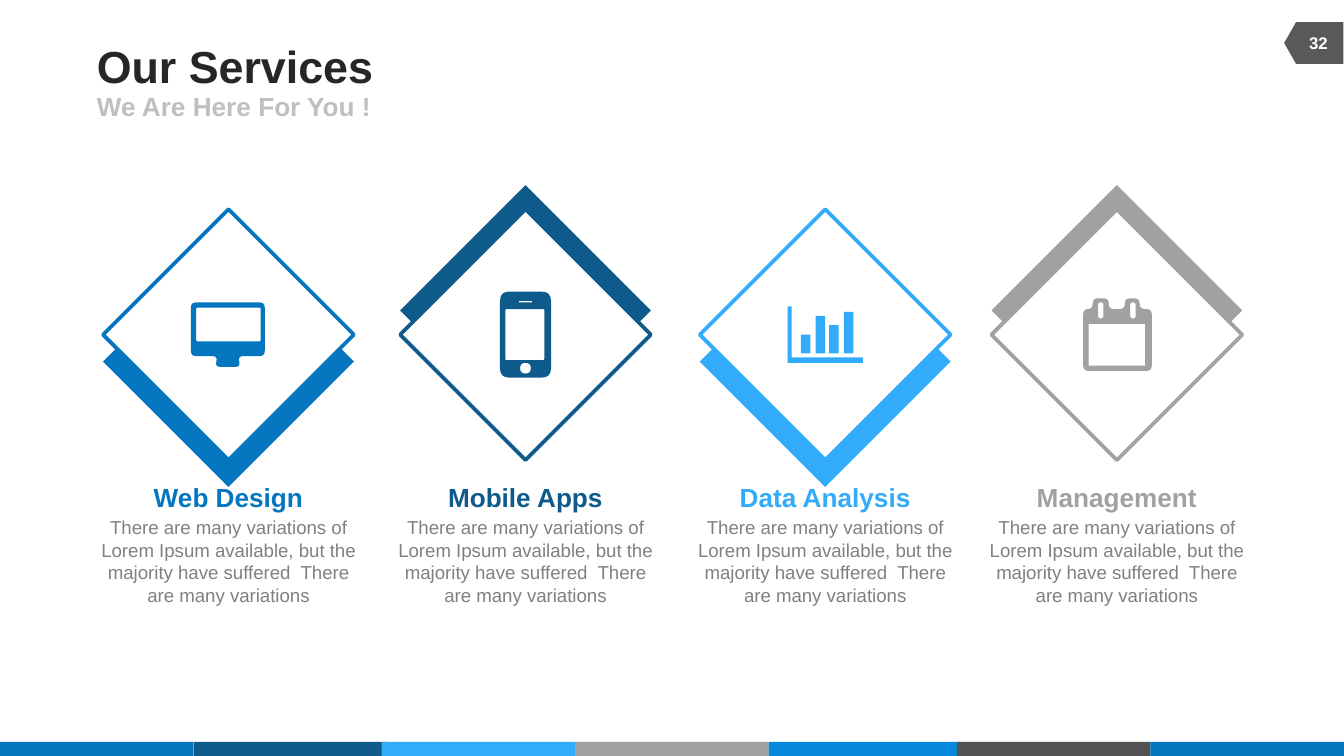
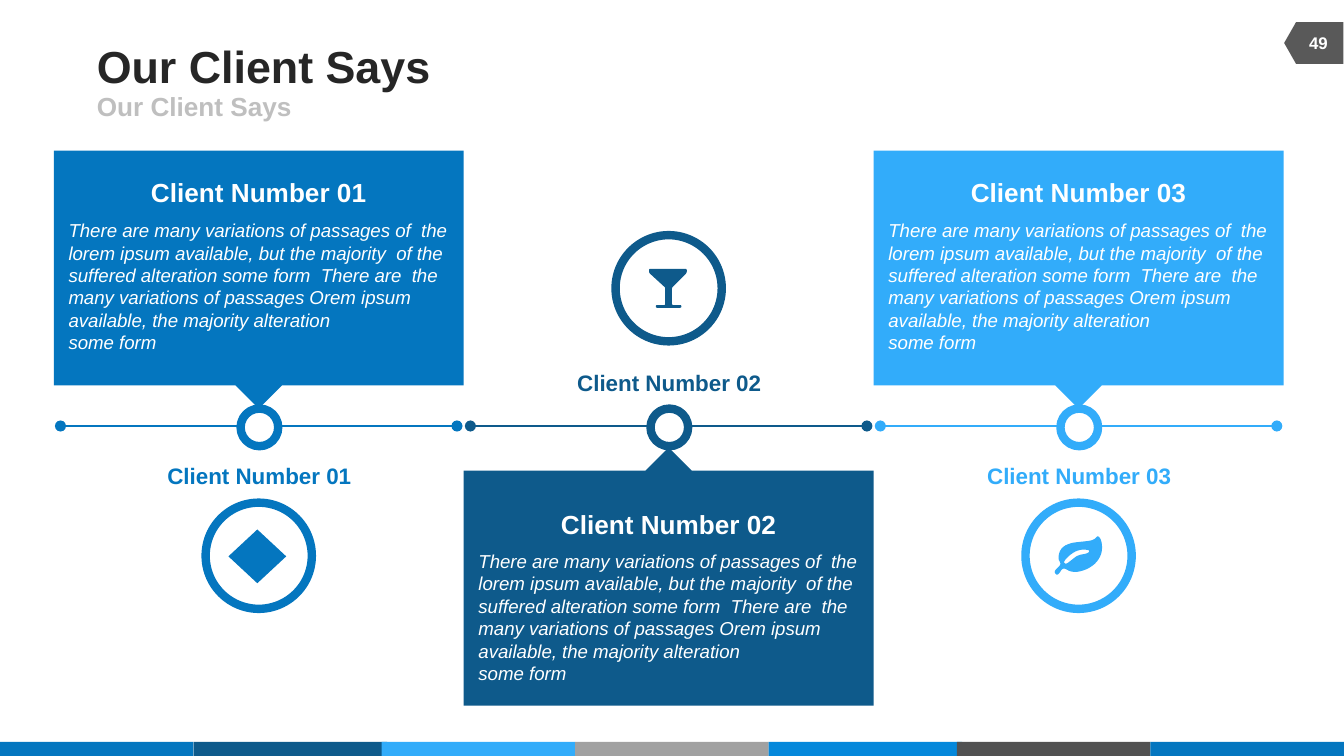
from copy import deepcopy
from math import dist

from lxml import etree
from pptx import Presentation
from pptx.dml.color import RGBColor
from pptx.enum.shapes import MSO_CONNECTOR, MSO_SHAPE
from pptx.enum.text import MSO_ANCHOR, MSO_AUTO_SIZE, PP_ALIGN
from pptx.oxml.ns import qn
from pptx.util import Emu, Pt

RECT = MSO_SHAPE.RECTANGLE
OVAL = MSO_SHAPE.OVAL
DIAMOND = MSO_SHAPE.DIAMOND
CALLOUT = MSO_SHAPE.DOWN_ARROW_CALLOUT
TAG = MSO_SHAPE.FLOWCHART_OFFPAGE_CONNECTOR
LEFT, CENTER = PP_ALIGN.LEFT, PP_ALIGN.CENTER
TOP, MIDDLE = MSO_ANCHOR.TOP, MSO_ANCHOR.MIDDLE

PX = 9144  # the slide is 1000 px wide
FONT = "Arial"

BLUE = RGBColor(0x04, 0x76, 0xBF)
NAVY = RGBColor(0x0E, 0x5A, 0x8B)
SKY = RGBColor(0x32, 0xAC, 0xFA)
GRAY = RGBColor(0xA1, 0xA1, 0xA1)
AZURE = RGBColor(0x05, 0x88, 0xDB)
CHARCOAL = RGBColor(0x52, 0x52, 0x52)
TAG_GRAY = RGBColor(0x59, 0x59, 0x59)
TITLE_INK = RGBColor(0x26, 0x26, 0x26)
SUBTITLE_INK = RGBColor(0xBF, 0xBF, 0xBF)
BODY_INK = RGBColor(0x80, 0x80, 0x80)
WHITE = RGBColor(0xFF, 0xFF, 0xFF)

BANDS = [(0, BLUE), (144, NAVY), (284, SKY), (428, GRAY),
         (572, AZURE), (712, CHARCOAL), (856, BLUE)]

SERVICE_TEXT = ("There are many variations of Lorem Ipsum available, but the "
                "majority have suffered  There are many variations")
CLIENT_TEXT = ("There are many variations of passages of  the lorem ipsum "
               "available, but the majority  of the suffered alteration some "
               "form  There are  the many variations of passages Orem ipsum "
               "available, the majority alteration \nsome form")


def px(*values):
    return [Emu(round(v * PX)) for v in values]


# Text

def write(tf, text, size=10, color=WHITE, bold=False, italic=False,
          align=LEFT, before=0):
    """Fill the first empty paragraph or add one."""
    p = tf.paragraphs[-1]
    if p.runs:
        p = tf.add_paragraph()
    p.text = text
    p.alignment = align
    p.space_before = Pt(before)
    for r in p.runs:
        r.font.name = FONT
        r.font.size = Pt(size)
        r.font.bold = bold
        r.font.italic = italic
        r.font.color.rgb = color
    for br in p._p.findall(qn("a:br")):
        br.append(deepcopy(p.runs[0]._r.rPr))
    return p


def frame(s, margins=(0, 0, 0, 0), wrap=False, anchor=TOP):
    tf = s.text_frame
    tf.auto_size = MSO_AUTO_SIZE.NONE
    tf.word_wrap = wrap
    tf.vertical_anchor = anchor
    tf.margin_left, tf.margin_top, tf.margin_right, tf.margin_bottom = px(*margins)
    return tf


def text_box(slide, box, **layout):
    return frame(slide.shapes.add_textbox(*px(*box)), **layout)


def fill_placeholder(s, box, text, **fmt):
    s.left, s.top, s.width, s.height = px(*box)
    p = write(frame(s, anchor=MIDDLE), text, bold=True, **fmt)
    pPr = p._p.get_or_add_pPr()
    pPr.set("marL", "0")
    pPr.set("indent", "0")
    etree.SubElement(pPr, qn("a:buNone"))


# Shapes

def shape(slide, kind, box, fill=None, line=None, weight=0, turn=0):
    s = slide.shapes.add_shape(kind, *px(*box))
    s.shadow.inherit = False
    s.rotation = turn
    if fill is None:
        s.fill.background()
    else:
        s.fill.solid()
        s.fill.fore_color.rgb = fill
    if line is None:
        s.line.fill.background()
    else:
        s.line.color.rgb = line
        s.line.width = Pt(weight)
    return s


def dotted_end_line(slide, x1, x2, y, color):
    s = slide.shapes.add_connector(MSO_CONNECTOR.STRAIGHT, *px(x1, y, x2, y))
    s.line.color.rgb = color
    s.line.width = Pt(1.5)
    ln = s.line._get_or_add_ln()
    for end in ("a:headEnd", "a:tailEnd"):
        etree.SubElement(ln, qn(end), type="oval")
    etree.SubElement(s._element.spPr, qn("a:effectLst"))


# Icon outlines

def rounded(points, radius):
    """Soften each corner of a closed outline with a short quadratic curve."""
    result = []
    for i, p in enumerate(points):
        ends = []
        for q in (points[i - 1], points[(i + 1) % len(points)]):
            cut = min(radius / dist(p, q), 0.5)
            ends.append([a + (b - a) * cut for a, b in zip(p, q)])
        for t in (0, 0.25, 0.5, 0.75, 1):
            result.append([(1 - t) ** 2 * a + 2 * t * (1 - t) * b + t * t * c
                           for a, b, c in zip(ends[0], p, ends[1])])
    return result


def box_outline(x1, y1, x2, y2, radius=0):
    corners = [(x1, y1), (x2, y1), (x2, y2), (x1, y2)]
    return rounded(corners, radius) if radius else corners


def icon(slide, outlines, color):
    first, *others = [[px(*p) for p in outline] for outline in outlines]
    builder = slide.shapes.build_freeform(*first[0])
    builder.add_line_segments(first[1:])
    for outline in others:
        builder.move_to(*outline[0])
        builder.add_line_segments(outline[1:])
    s = builder.convert_to_shape()
    s.shadow.inherit = False
    s.fill.solid()
    s.fill.fore_color.rgb = color
    s.line.fill.background()


MONITOR = [
    rounded([(142, 225), (197, 225), (197, 265), (177, 265), (179, 273),
             (160, 273), (162, 265), (142, 265)], 4),
    box_outline(146, 229, 194, 254, 1),
]
PHONE = [
    box_outline(372, 217, 410, 281, 7),
    box_outline(376, 230, 405, 268, 1),
    box_outline(386, 224, 396, 225),
    box_outline(387, 270, 395, 278, 4),
]
BAR_CHART = [
    [(586, 228), (589, 228), (589, 266), (642, 266), (642, 270), (586, 270)],
    *[box_outline(x, y, x + 7, 263)
      for x, y in ((596, 249), (607, 235), (617, 242), (628, 232))],
]
CALENDAR = [
    rounded([(806, 230), (813, 230), (813, 222), (825, 222), (825, 230),
             (837, 230), (837, 222), (848, 222), (848, 230), (857, 230),
             (857, 276), (806, 276)], 4),
    box_outline(810, 241, 852, 272),
    box_outline(817, 225, 821, 237, 2),
    box_outline(841, 225, 845, 237, 2),
]
GLASS = [
    rounded([(483, 200), (511, 200), (511, 203), (500, 214), (500, 227),
             (507, 227), (507, 229), (488, 229), (488, 227), (495, 227),
             (495, 214), (483, 203)], 1),
]
LEAF = [
    rounded([(817, 398), (820, 403), (820, 412), (815, 420), (806, 425),
             (797, 426), (791, 422), (788, 427), (786, 428), (784, 425),
             (790, 420), (787, 416), (789, 408), (796, 404), (806, 403),
             (814, 402)], 99),
    rounded([(809, 409), (811, 410), (809, 412), (802, 413), (797, 417),
             (793, 420), (791, 418), (797, 412), (803, 409)], 99),
]

# Centre, colour, whether the thick edge is on top, name, icon
SERVICES = [
    (170, BLUE, False, "Web Design", MONITOR),
    (391, NAVY, True, "Mobile Apps", PHONE),
    (614, SKY, False, "Data Analysis", BAR_CHART),
    (831, GRAY, True, "Management", CALENDAR),
]
CLIENTS = [
    ("Client Number 01", BLUE, None),
    ("Client Number 02", NAVY, GLASS),
    ("Client Number 03", SKY, LEAF),
]


# Slide parts

def base_slide(prs, title, subtitle, number):
    slide = prs.slides.add_slide(prs.slide_layouts[1])
    for x, color in BANDS:
        shape(slide, RECT, (x, 552, 144, 11), color)
    shape(slide, TAG, (962, 10, 31, 44), TAG_GRAY, turn=90)
    fill_placeholder(slide.shapes.title, (72, 29, 617, 39), title,
                     size=24, color=TITLE_INK)
    fill_placeholder(slide.placeholders[1], (72, 68, 450, 22), subtitle,
                     size=14, color=SUBTITLE_INK)
    tf = text_box(slide, (960, 17, 42, 30), margins=(10, 5, 10, 5),
                  wrap=True, anchor=MIDDLE)
    write(tf, number, size=9, bold=True, align=CENTER)
    return slide


def service(slide, center, color, edge_on_top, name, outlines):
    side = 132
    x = center - side // 2
    shape(slide, RECT, (x, 165 if edge_on_top else 203, side, side), color, turn=315)
    shape(slide, RECT, (x, 183, side, side), WHITE, color, 2, turn=315)
    icon(slide, outlines, color)
    tf = text_box(slide, (center - 108, 353, 216, 104),
                  margins=(10, 5, 10, 5), wrap=True)
    write(tf, name, size=14, color=color, bold=True, align=CENTER)
    write(tf, SERVICE_TEXT, color=BODY_INK, align=CENTER, before=2)


def client(slide, x, below, name, color, outlines):
    """Draw one client; below puts the callout under the time line."""
    label_y, callout_y, head_y, body_y, ring_y = (
        (275, 333, 378, 409, 175) if below else (344, 112, 131, 163, 374))
    dotted_end_line(slide, x + 300, x + 5, 317, color)
    write(text_box(slide, (x + 84, label_y, 138, 20)), name,
          size=12, color=color, bold=True, align=CENTER)

    # Callout with heading and quote
    s = shape(slide, CALLOUT, (x, callout_y, 305, 192), color)
    for i, value in enumerate((0.26, 0.09, 0.09, 0.91)):
        s.adjustments[i] = value
    if below:
        s._element.spPr.find(qn("a:xfrm")).set("flipV", "1")
    tf = text_box(slide, (x + 11, body_y, 292, 106),
                  margins=(0, 0, 10, 5), wrap=True)
    write(tf, CLIENT_TEXT, italic=True)
    write(text_box(slide, (x + 72, head_y, 161, 24)), name,
          size=14, bold=True, align=CENTER)

    # Marker and ringed icon
    shape(slide, OVAL, (x + 139, 304, 28, 28), WHITE, color, 4.5)
    shape(slide, OVAL, (x + 113, ring_y, 79, 79), None, color, 4.5)
    if outlines:
        icon(slide, outlines, color)
    else:
        shape(slide, DIAMOND, (x + 130, ring_y + 20, 43, 40), color)


def main():
    prs = Presentation()
    prs.slide_width = Emu(1000 * PX)
    prs.slide_height = Emu(prs.slide_width * 9 // 16)

    slide = base_slide(prs, "Our Services", "We Are Here For You !", "32")
    for item in SERVICES:
        service(slide, *item)

    slide = base_slide(prs, "Our Client Says", "Our Client Says", "49")
    for i, item in enumerate(CLIENTS):
        client(slide, 40 + 305 * i, i % 2 == 1, *item)

    prs.save("out.pptx")


if __name__ == "__main__":
    main()
